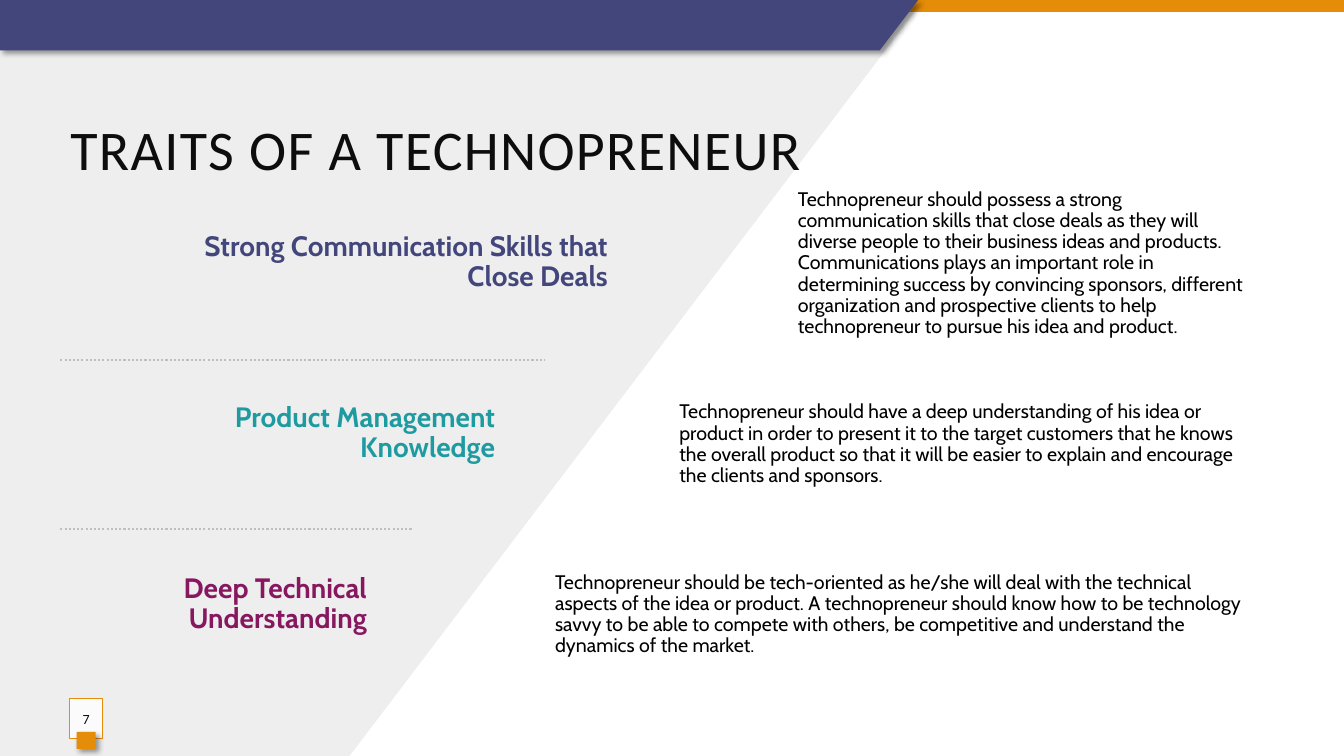
from lxml import etree
from pptx import Presentation
from pptx.enum import dml, shapes, text
from pptx.dml.color import RGBColor
from pptx.oxml import ns
from pptx.util import Cm, Pt

INDIGO, ORANGE, INK = "43467B", "E58C09", "0D0D0D"


def color(code):
    return RGBColor.from_string(code)


class Page:
    head, body = "Calibri", "Cabin"

    def __init__(self, deck):
        self.slide = deck.slides.add_slide(deck.slide_layouts[5])
        self.items = self.slide.shapes

    def finish(self, shape, fill, shade=False):
        shape.fill.solid()
        shape.fill.fore_color.rgb = color(fill)
        shape.line.fill.background()
        shape.shadow.inherit = False
        if shade:
            effects = shape._element.spPr.find(ns.qn("a:effectLst"))
            glow = etree.SubElement(
                effects, ns.qn("a:outerShdw"), blurRad=str(Pt(4)),
                dist=str(Pt(3)), dir="2700000", algn="tl", rotWithShape="0")
            tone = etree.SubElement(glow, ns.qn("a:srgbClr"), val="000000")
            etree.SubElement(tone, ns.qn("a:alpha"), val="40000")
        return shape

    def rect(self, x, y, w, h, fill, shade=False):
        shape = self.items.add_shape(
            shapes.MSO_SHAPE.RECTANGLE, Cm(x), Cm(y), Cm(w), Cm(h))
        return self.finish(shape, fill, shade)

    def outline(self, points, fill, shade=False):
        spots = [(Cm(x), Cm(y)) for x, y in points]
        form = self.items.build_freeform(*spots[0], scale=1.0)
        form.add_line_segments(spots[1:], close=True)
        return self.finish(form.convert_to_shape(), fill, shade)

    def label(self, frame, words, size, font, ink, align, bold=False):
        frame.word_wrap = True
        frame.auto_size = text.MSO_AUTO_SIZE.NONE
        frame.vertical_anchor = text.MSO_ANCHOR.MIDDLE
        para = frame.paragraphs[0]
        para.text = words
        para.alignment = align
        face = para.font
        face.size, face.name, face.bold = Pt(size), font, bold
        face.color.rgb = color(ink)
        return para

    def title(self, words, x, y, w, h):
        shape = self.items.title
        shape.left, shape.top, shape.width, shape.height = map(Cm, (x, y, w, h))
        para = self.label(shape.text_frame, words, 40, self.head, INK,
                          text.PP_ALIGN.LEFT)
        para.runs[0]._r.get_or_add_rPr().set("spc", "100")
        # Bring the title in front of the backdrop
        self.items._spTree.append(shape._element)

    def block(self, words, x, y, w, h, size, ink, align, bold=False):
        box = self.items.add_textbox(Cm(x), Cm(y), Cm(w), Cm(h))
        para = self.label(box.text_frame, words, size, self.body, ink,
                          align, bold)
        para.line_spacing = 0.9
        para.space_after = Pt(2)

    def rule(self, x, y, end):
        line = self.items.add_connector(
            shapes.MSO_CONNECTOR.STRAIGHT, Cm(x), Cm(y), Cm(end), Cm(y))
        line.line.color.rgb = color("BFBFBF")
        line.line.width = Pt(1.5)
        line.line.dash_style = dml.MSO_LINE.ROUND_DOT
        etree.SubElement(line._element.spPr, ns.qn("a:effectLst"))

    def number(self, words, x, y, w, h):
        badge = self.rect(x, y, w, h, "FFFFFF")
        tone = badge._element.spPr.find(ns.qn("a:solidFill"))[0]
        etree.SubElement(tone, ns.qn("a:alpha"), val="82000")
        badge.line.color.rgb = color(ORANGE)
        badge.line.width = Pt(0.75)
        frame = badge.text_frame
        frame.margin_left = frame.margin_right = 0
        self.label(frame, words, 10, self.head, INK, text.PP_ALIGN.CENTER)


# Heading, its colour and box, then the detail and its box
TRAITS = [
    ("Strong Communication Skills that Close Deals", INDIGO,
     (3.96, 5.79, 11.61, 1.63),
     "Technopreneur should possess a strong communication skills that close "
     "deals as they will diverse people to their business ideas and products. "
     "Communications plays an important role in determining success by "
     "convincing sponsors, different organization and prospective clients to "
     "help technopreneur to pursue his idea and product.",
     (19.86, 5.66, 11.99, 1.96)),
    ("Product Management Knowledge", "1D9BA1",
     (3.84, 10.34, 8.89, 1.17),
     "Technopreneur should have a deep understanding of his idea or product "
     "in order to present it to the target customers that he knows the overall "
     "product so that it will be easier to explain and encourage the clients "
     "and sponsors.",
     (16.87, 9.93, 14.99, 2.54)),
    ("Deep Technical Understanding", "87175F",
     (2.64, 14.53, 6.86, 1.4),
     "Technopreneur should be tech-oriented as he/she will deal with the "
     "technical aspects of the idea or product. A technopreneur should know "
     "how to be technology savvy to be able to compete with others, be "
     "competitive and understand the dynamics of the market.",
     (13.74, 14.22, 18.08, 2.54)),
]


def main():
    deck = Presentation()
    deck.slide_width, deck.slide_height = Cm(33.87), Cm(19.05)
    page = Page(deck)

    # Backdrop
    page.outline([(0, 0), (23.14, 0), (23.14, 0.18), (8.81, 19.05),
                  (0, 19.05)], "EEEEEE")
    page.rect(0, 0, 33.87, 0.3, ORANGE)
    page.outline([(0, 0), (23.14, 0), (22.17, 1.27), (0, 1.27)], INDIGO, True)

    # Title and traits
    page.title("TRAITS OF A TECHNOPRENEUR", 1.52, 2.74, 30.02, 1.96)
    for name, ink, spot, detail, area in TRAITS:
        page.block(detail, *area, 14, "000000", text.PP_ALIGN.LEFT)
        page.block(name, *spot, 20, ink, text.PP_ALIGN.RIGHT, True)

    # Dividers
    page.rule(1.52, 9.07, 13.72)
    page.rule(1.52, 13.34, 10.41)

    # Page number
    page.number("7", 1.75, 17.6, 0.84, 1.02)
    page.rect(1.93, 18.44, 0.48, 0.43, ORANGE, True)

    deck.save("out.pptx")


if __name__ == "__main__":
    main()
